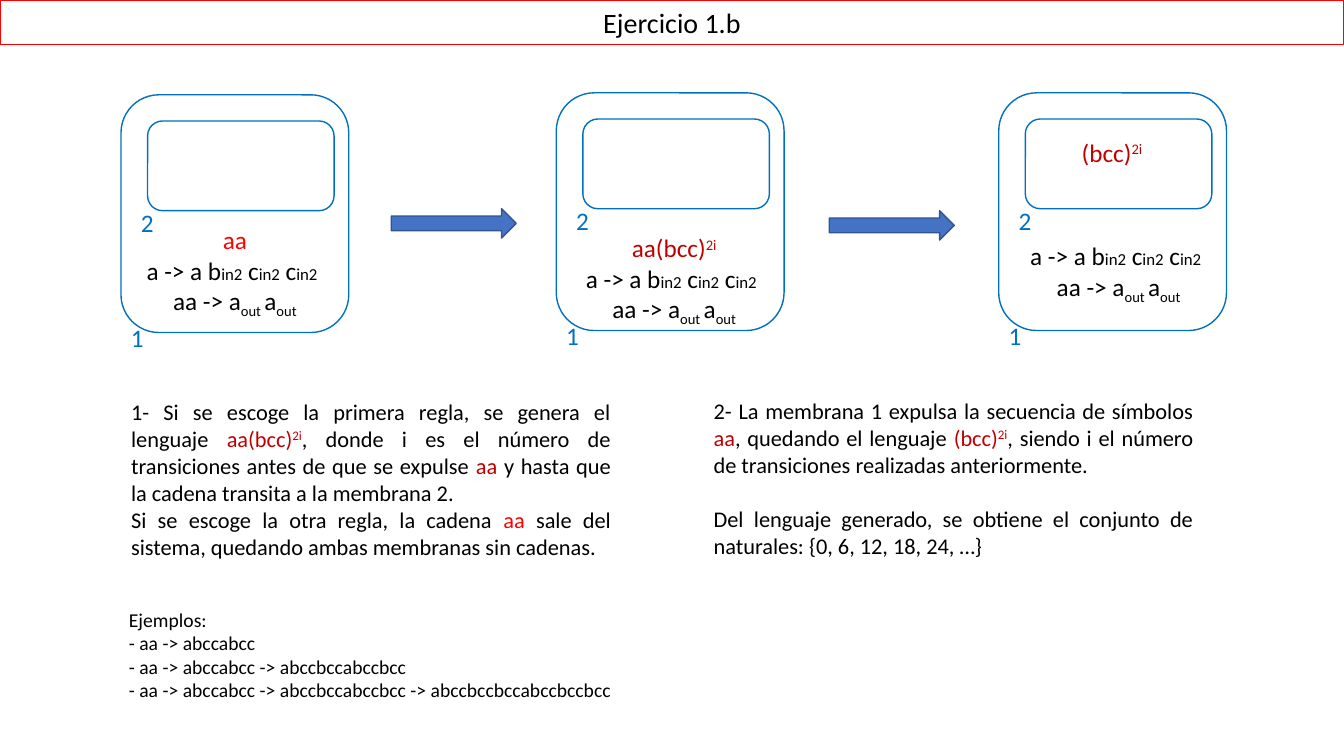
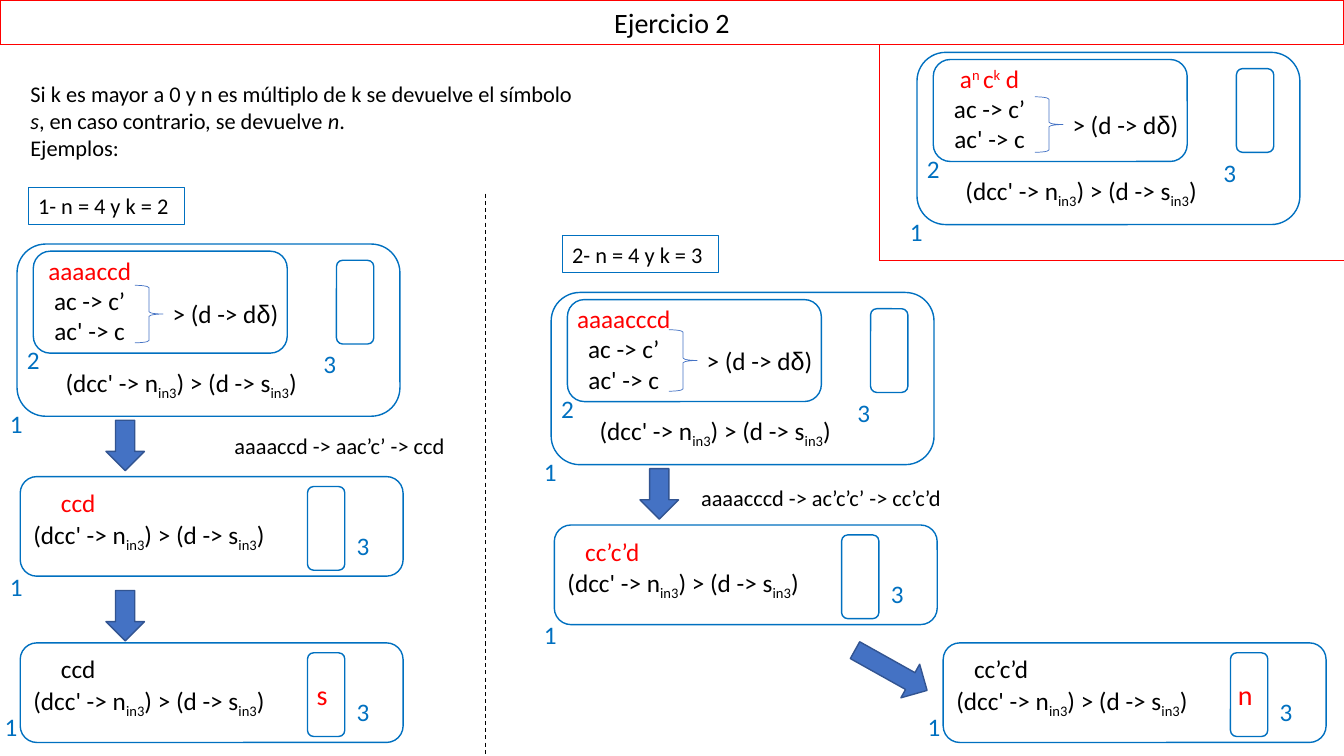
from dataclasses import dataclass

from lxml import etree
from pptx import Presentation
from pptx import util as u
from pptx.dml.color import RGBColor
from pptx.enum import dml, shapes, text
from pptx.oxml.ns import qn

Cm, Pt = u.Cm, u.Pt
MSO = shapes.MSO_SHAPE
AL = text.PP_ALIGN


@dataclass(frozen=True)
class Theme:
    font: str = "Calibri"
    symbol_font: str = "Arial"
    black: str = "000000"
    red: str = "FF0000"
    dark_red: str = "C00000"
    blue: str = "0070C0"
    arrow: str = "4472C4"
    arrow_edge: str = "325491"
    title: int = 20
    rule: int = 18
    body: int = 16
    example: int = 14
    small: int = 12
    width: float = 33.87
    height: float = 19.05
    band: float = 1.12


T = Theme()
RED, DARK = {"color": T.red}, {"color": T.dark_red}
SUB, SUP = {"baseline": -25000}, {"baseline": 30000}
DARK_SUP = {**DARK, **SUP}
SMALL = {"size": T.small}
ITALIC = {"italic": True}

COPY_RULE = ["a -> a b", ("in2", SMALL), " c", ("in2", SMALL), " c", ("in2", SMALL), " "]
OUT_RULE = ["aa -> a", ("out ", SUB), "a", ("out", SUB)]
RESULT_RULE = ["(dcc' -> n", ("in3", SUB), ") > (d -> s", ("in3", SUB), ")"]
PRIORITY_RULE = ["> (d -> d", ("δ", {"name": T.symbol_font}), ")"]


def rgb(code):
    return RGBColor.from_string(code)


def place(sp, x, y, w, h):
    for name, value in {"left": x, "top": y, "width": w, "height": h}.items():
        setattr(sp, name, Cm(value))


def add_run(p, content, size, color=T.black, baseline=None, **fmt):
    r = p.add_run()
    r.text = content
    for name, value in {"name": T.font, "size": Pt(size), **fmt}.items():
        setattr(r.font, name, value)
    r.font.color.rgb = rgb(color)
    if baseline:
        r.font._element.set("baseline", str(baseline))


def write(sp, paragraphs, size, align=AL.LEFT, wrap=True, gap=0,
          anchor=text.MSO_ANCHOR.TOP):
    """Fill sp; a paragraph is a list of plain strings and (string, format) pairs."""
    tf = sp.text_frame
    frame_format = {"word_wrap": wrap, "auto_size": text.MSO_AUTO_SIZE.NONE,
                    "vertical_anchor": anchor}
    for name, value in frame_format.items():
        setattr(tf, name, value)
    for i, runs in enumerate(paragraphs):
        p = tf.add_paragraph() if i else tf.paragraphs[0]
        p.alignment = align
        p.space_before = Pt(gap if i else 0)
        if sp.is_placeholder:
            pPr = p._p.get_or_add_pPr()
            pPr.set("marL", "0")
            pPr.set("indent", "0")
            etree.SubElement(pPr, qn("a:buNone"))
        for run in runs:
            content, fmt = (run, {}) if isinstance(run, str) else run
            add_run(p, content, **{"size": size, **fmt})


def add_text(slide, box, paragraphs, size=T.rule, **layout):
    sp = slide.shapes.add_textbox(*map(Cm, box))
    write(sp, paragraphs, size, **layout)


def add_centred(slide, box, paragraphs, size=T.rule):
    add_text(slide, box, paragraphs, size, align=AL.CENTER, wrap=False)


def add_label(slide, x, y, number):
    add_text(slide, (x, y, 0.84, 1.02), [[(number, {"color": T.blue})]])


def add_outline(slide, kind, box, color=T.blue, width=1):
    sp = slide.shapes.add_shape(kind, *map(Cm, box))
    sp.shadow.inherit = False
    sp.fill.background()
    sp.line.color.rgb = rgb(color)
    sp.line.width = Pt(width)
    return sp


def add_membrane(slide, *box):
    add_outline(slide, MSO.ROUNDED_RECTANGLE, box)


def add_arrow(slide, kind, box, rotation=0):
    sp = add_outline(slide, kind, box, T.arrow_edge)
    sp.fill.solid()
    sp.fill.fore_color.rgb = rgb(T.arrow)
    sp.rotation = rotation


def add_line(slide, ends, color, width, dash=None):
    line = slide.shapes.add_connector(shapes.MSO_CONNECTOR.STRAIGHT, *map(Cm, ends))
    line.line.color.rgb = rgb(color)
    line.line.width = Pt(width)
    if dash:
        line.line.dash_style = dash
    etree.SubElement(line._element.spPr, qn("a:effectLst"))


def add_caption(slide, x, y, content):
    sp = add_outline(slide, MSO.RECTANGLE, (x, y, 3.94, 0.94), width=0.75)
    write(sp, [[content]], T.body, anchor=text.MSO_ANCHOR.MIDDLE)


def add_slide(prs, layout, title):
    """Add a slide whose title fills the red band at the top."""
    slide = prs.slides.add_slide(prs.slide_layouts[layout])
    sp = slide.shapes.title
    place(sp, 0, 0, T.width, T.band)
    sp.line.color.rgb = rgb(T.red)
    sp.line.width = Pt(0.75)
    write(sp, [[title]], T.title, align=AL.CENTER, anchor=text.MSO_ANCHOR.MIDDLE)
    return slide


def fill_body(slide, index, box, paragraphs, **layout):
    sp = slide.placeholders[index]
    place(sp, *box)
    write(sp, paragraphs, T.body, align=AL.JUSTIFY, **layout)


def add_two_membranes(slide, x, y, text_x, text_y, paragraphs):
    add_membrane(slide, x, y, 5.74, 5.99)
    add_membrane(slide, x + 0.67, y + 0.66, 4.7, 2.26)
    add_label(slide, x + 0.25, y + 2.72, "2")
    add_label(slide, x, y + 5.61, "1")
    add_centred(slide, (text_x, text_y, 5.74, 2.57), paragraphs)


def add_three_membranes(slide, x, y, start, brace_top, brace_height):
    add_membrane(slide, x, y, 9.65, 4.34)
    add_membrane(slide, x + 0.41, y + 0.18, 6.4, 2.57)
    add_membrane(slide, x + 8.05, y + 0.41, 0.94, 2.11)
    add_centred(slide, (x + 0.38, y + 0.15, 2.9, 2.57),
                [start, ["ac -> c’"], ["ac' -> c"]])
    add_outline(slide, MSO.RIGHT_BRACE,
                (x + 2.97, y + brace_top, 0.71, brace_height), T.arrow, 0.5)
    priority_y = y + brace_top + brace_height / 2 - 0.51
    add_centred(slide, (x + 3.66, priority_y, 3.18, 1.02), [PRIORITY_RULE])
    add_centred(slide, (x + 0.86, y + 2.97, 6.55, 1.02), [RESULT_RULE])
    for dx, dy, number in ((-0.43, 4.01, "1"), (0, 2.41, "2"), (7.47, 2.51, "3")):
        add_label(slide, x + dx, y + dy, number)


def add_dissolved(slide, x, y, string, result=None):
    """Draw the system once membrane 2 is gone, with the result if it is known."""
    add_membrane(slide, x, y, 9.65, 2.51)
    add_membrane(slide, x + 7.24, y + 0.25, 0.94, 2.11)
    color = T.black if result else T.red
    add_centred(slide, (x + 0.51, y + 0.15, 1.9, 1.02), [[(string, {"color": color})]])
    add_centred(slide, (x - 0.03, y + 0.94, 6.55, 1.02), [RESULT_RULE])
    add_label(slide, x + 8.23, y + 1.22, "3")
    dx, dy = (-0.64, 1.6) if result else (-0.51, 2.26)
    add_label(slide, x + dx, y + dy, "1")
    if result:
        add_centred(slide, (x + 7.11, y + 0.74, 1, 1.12), [[(result, RED)]], T.title)


def build_exercise_1b(prs):
    slide = add_slide(prs, 3, "Ejercicio 1.b")
    rules = [COPY_RULE, OUT_RULE]
    add_two_membranes(slide, 3.05, 2.39, 3.05, 5.54, [[("aa", RED)]] + rules)
    add_two_membranes(slide, 14.02, 2.34, 14.12, 5.74,
                      [[("aa(bcc)", DARK), ("2i", DARK_SUP)]] + rules)
    add_two_membranes(slide, 25.17, 2.34, 25.32, 5.94, rules)
    add_centred(slide, (26.49, 3.33, 3.07, 1.02), [[("(bcc)", DARK), ("2i", DARK_SUP)]])
    for x, y in ((9.86, 5.26), (20.9, 5.31)):
        add_arrow(slide, MSO.RIGHT_ARROW, (x, y, 3.15, 0.74))

    fill_body(slide, 1, (3.05, 9.91, 12.6, 4.37), [
        ["1- Si se escoge la primera regla, se genera el lenguaje ",
         ("aa(bcc)", DARK), ("2i", DARK_SUP),
         ", donde i es el número de transiciones antes de que se expulse ",
         ("aa", DARK), " y hasta que la cadena transita a la membrana 2. "],
        ["Si se escoge la otra regla, la cadena ", ("aa ", RED),
         "sale del sistema, quedando ambas membranas sin cadenas."]])
    fill_body(slide, 2, (17.73, 9.88, 12.6, 4.37), [
        ["2- La membrana 1 expulsa la secuencia de símbolos ", ("aa", DARK),
         ", quedando el lenguaje ", ("(bcc)", DARK), ("2i", DARK_SUP),
         ", siendo i el número de transiciones realizadas anteriormente. "],
        ["Del lenguaje generado, se obtiene el conjunto de naturales: "
         "{0, 6, 12, 18, 24, …}"]], gap=19.5)

    steps = ["aa", "abccabcc", "abccbccabccbcc", "abccbccbccabccbccbcc"]
    examples = [["- " + " -> ".join(steps[:n])] for n in range(2, len(steps) + 1)]
    add_text(slide, (3, 15.19, 12.8, 2.64), [["Ejemplos:"]] + examples, T.example)


def build_exercise_2(prs):
    slide = add_slide(prs, 1, "Ejercicio 2")
    fill_body(slide, 1, (0.51, 1.9, 14.17, 2.31), [
        ["Si k es mayor a 0 y n es múltiplo de k se devuelve el símbolo ",
         ("s", ITALIC), ", en caso contrario, se devuelve ", ("n", ITALIC), ". "],
        ["Ejemplos:"]])

    general = [("a", RED), ("n ", {**RED, **SUP}), ("c", RED),
               ("k", {**RED, **SUP}), (" d", RED)]
    add_three_membranes(slide, 23.11, 1.32, general, 1.12, 1.4)
    add_line(slide, (22.15, T.band, 22.15, 6.55), T.red, 0.5)
    add_line(slide, (22.15, 6.55, T.width, 6.55), T.red, 0.5)

    add_caption(slide, 0.71, 4.72, "1- n = 4 y k = 2")
    add_three_membranes(slide, 0.43, 6.15, [("aaaaccd", RED)], 1.04, 1.45)
    add_text(slide, (5.66, 10.77, 6.7, 0.94), [["aaaaccd -> aac’c’ -> ccd"]], T.body)
    add_dissolved(slide, 0.51, 12.01, "ccd")
    add_dissolved(slide, 0.51, 16.2, "ccd", "s")

    add_caption(slide, 14.17, 5.94, "2- n = 4 y k = 3")
    add_three_membranes(slide, 13.89, 7.37, [("aaaacccd", RED)], 0.94, 1.55)
    add_text(slide, (17.42, 12.07, 6.7, 0.94), [["aaaacccd -> ac’c’c’ -> cc’c’d"]], T.body)
    add_dissolved(slide, 13.97, 13.23, "cc’c’d")
    add_dissolved(slide, 23.77, 16.2, "cc’c’d", "n")

    for x, y in ((2.67, 10.59), (2.67, 14.88), (16.13, 11.81)):
        add_arrow(slide, MSO.DOWN_ARROW, (x, y, 0.97, 1.27))
    add_arrow(slide, MSO.DOWN_ARROW, (21.97, 15.85, 0.97, 2.08), 299.2)
    add_line(slide, (12.24, 4.88, 12.24, T.height), T.black, 0.75, dml.MSO_LINE.DASH)


def main():
    prs = Presentation()
    prs.slide_width, prs.slide_height = Cm(T.width), Cm(T.height)
    build_exercise_1b(prs)
    build_exercise_2(prs)
    prs.save("out.pptx")


if __name__ == "__main__":
    main()
